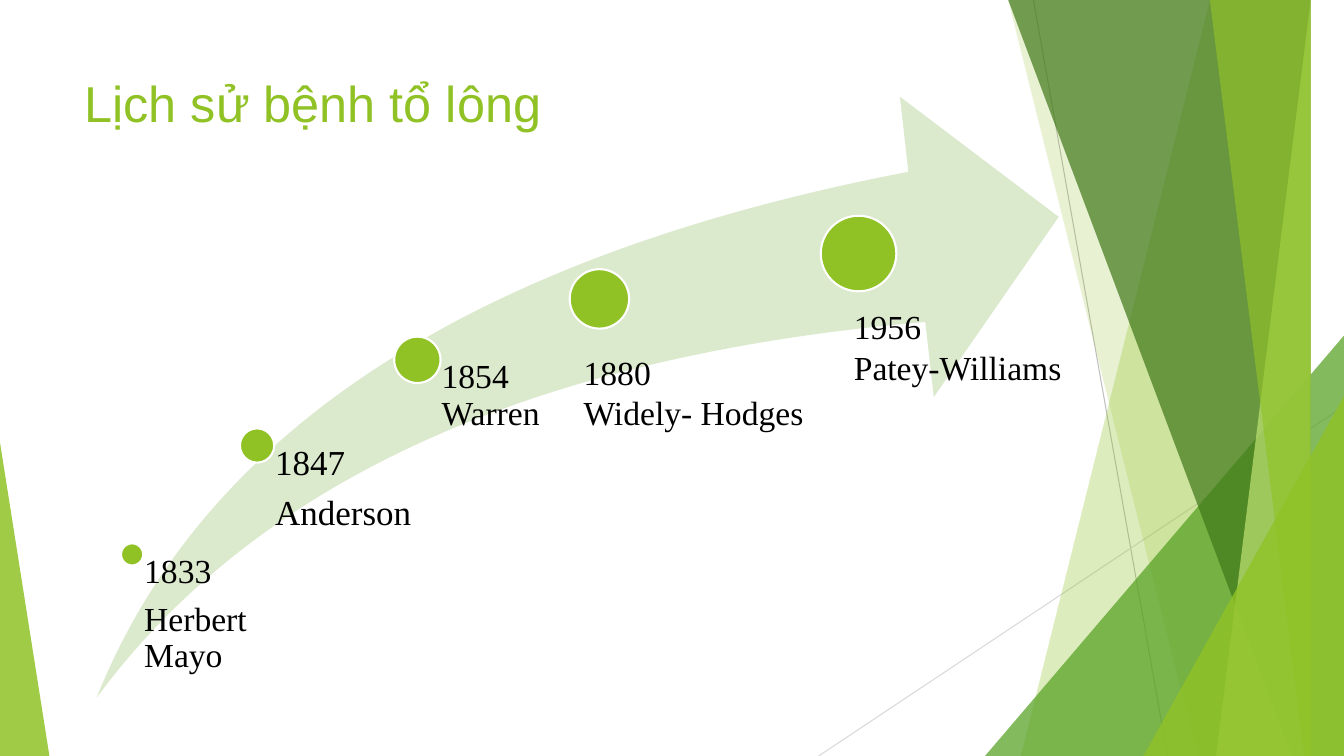
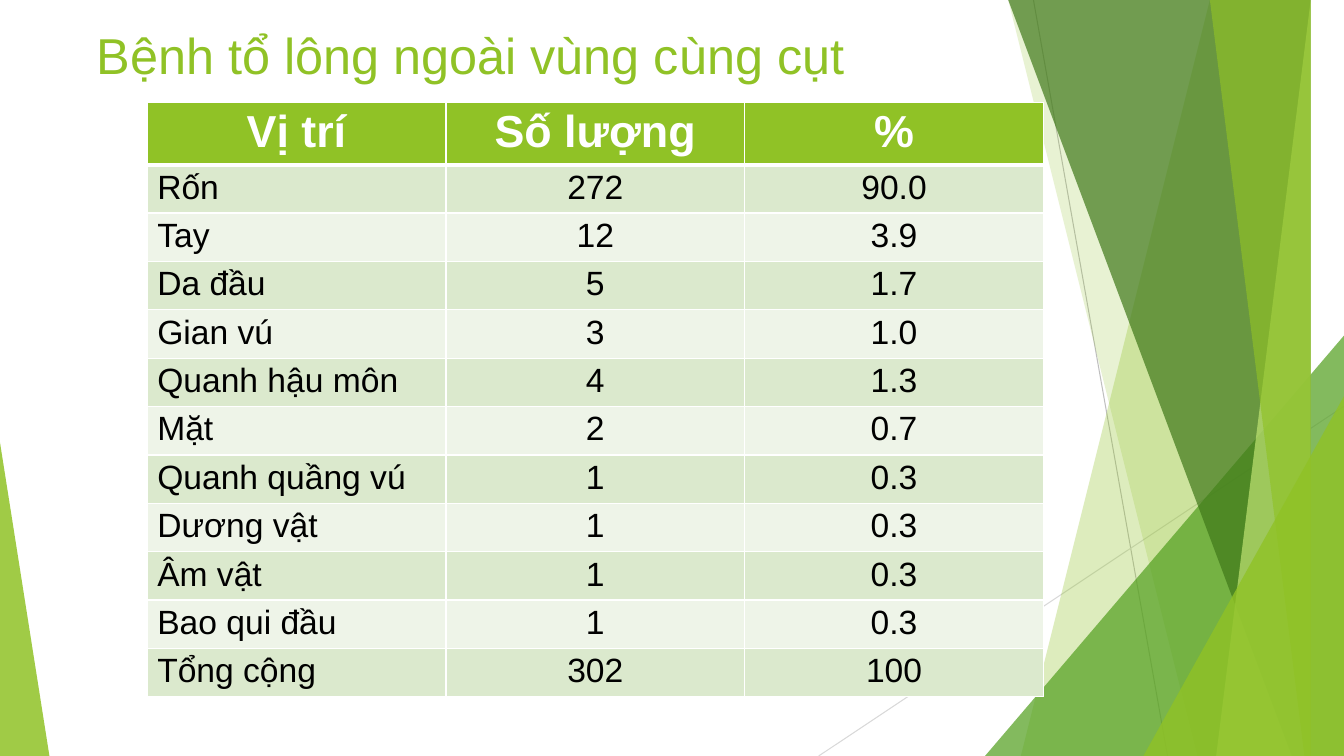
from lxml.etree import SubElement
from pptx import Presentation
from pptx.dml.color import RGBColor
from pptx.enum.shapes import MSO_CONNECTOR as CONN, MSO_SHAPE as SHAPE
from pptx.enum.text import MSO_ANCHOR as ANCHOR, PP_ALIGN as ALIGN
from pptx.oxml.ns import qn
from pptx.util import Inches, Pt

W, H = 13.33, 7.5
LIME, GREEN, FOREST, PALE = "90C226", "54A021", "3F7819", "C0E474"
TINT, LIGHT, WHITE, BLACK = "DBE9CD", "EEF4E8", "FFFFFF", "000000"
SANS, SERIF = "Arial", "Times New Roman"


def rgb(value):
    return RGBColor.from_string(value)


class Deck:
    """Holds the shared style and the current slide."""

    def __init__(self):
        self.prs = Presentation()
        self.prs.slide_width, self.prs.slide_height = Inches(W), Inches(H)

    def new_slide(self, title, x, y):
        self.s = self.prs.slides.add_slide(self.prs.slide_layouts[6])
        self.backdrop()
        self.text([title], x, y, 9.4, 1.44, 36, SANS, LIME)

    def backdrop(self):
        self.line(10.25, 0, 11.58, H, "BFBFBF")
        self.line(W, 4.03, 8.12, H, "D9D9D9")
        self.panel(12.28, 10.04, LIME, 30)
        self.panel(10.5, 11.83, LIME, 20)
        self.triangle(9.77, 3.33, 3.56, 1, GREEN, 72)
        self.panel(10.21, 12.91, FOREST, 70)
        self.panel(13.03, 11.92, PALE, 70)
        self.panel(11.96, 13.18, LIME, 65)
        self.triangle(11.34, 3.93, 1.99, 1, LIME, 80)
        self.triangle(0, 4.39, 0.49, 0, LIME, 85)

    def line(self, x1, y1, x2, y2, color):
        c = self.s.shapes.add_connector(
            CONN.STRAIGHT, Inches(x1), Inches(y1), Inches(x2), Inches(y2))
        c.line.color.rgb = rgb(color)
        c.line.width = Pt(0.75)
        SubElement(c.element.spPr, qn("a:effectLst"))

    def paint(self, sp, color, alpha=100, outline=None):
        sp.shadow.inherit = False
        sp.fill.solid()
        sp.fill.fore_color.rgb = rgb(color)
        if alpha < 100:
            clr = sp.element.spPr.find(qn("a:solidFill"))[0]
            SubElement(clr, qn("a:alpha"), val=str(alpha * 1000))
        if outline:
            sp.line.color.rgb = rgb(outline)
            sp.line.width = Pt(1.5)
        else:
            sp.line.fill.background()

    def panel(self, top_x, bottom_x, color, alpha):
        fb = self.s.shapes.build_freeform(top_x, -0.01, scale=Inches(1))
        fb.add_line_segments([(W, -0.01), (W, H), (bottom_x, H)])
        self.paint(fb.convert_to_shape(), color, alpha)

    def shape(self, kind, x, y, w, h, color, alpha=100, outline=None, adj=()):
        sp = self.s.shapes.add_shape(
            kind, Inches(x), Inches(y), Inches(w), Inches(h))
        for i, value in enumerate(adj):
            sp.adjustments[i] = value
        self.paint(sp, color, alpha, outline)

    def triangle(self, x, y, w, apex, color, alpha):
        self.shape(SHAPE.ISOSCELES_TRIANGLE, x, y, w, H - y, color, alpha,
                   adj=[apex])

    def dot(self, x, y, d):
        self.shape(SHAPE.OVAL, x, y, d, d, LIME, outline=WHITE)

    def text(self, lines, x, y, w, h, size, font, color, inset=None,
             spacing=None, after=0):
        tf = self.s.shapes.add_textbox(
            Inches(x), Inches(y), Inches(w), Inches(h)).text_frame
        tf.word_wrap = True
        if inset is not None:
            tf.margin_left = Inches(inset)
            tf.margin_top = tf.margin_right = tf.margin_bottom = 0
        tf.text = "\n".join(lines)
        for p in tf.paragraphs:
            p.line_spacing = spacing
            p.space_after = Pt(after)
            self.style(p, size, font, color)

    def style(self, p, size, font, color, bold=False):
        for r in p.runs:
            r.font.size, r.font.name, r.font.bold = Pt(size), font, bold
            r.font.color.rgb = rgb(color)

    def borders(self, cell, bottom):
        pr = cell._tc.get_or_add_tcPr()
        widths = {"a:lnL": 1, "a:lnR": 1, "a:lnT": 1, "a:lnB": bottom}
        for i, (tag, width) in enumerate(widths.items()):
            ln = pr.makeelement(qn(tag), {"w": str(Pt(width))})
            pr.insert(i, ln)
            fill = SubElement(ln, qn("a:solidFill"))
            SubElement(fill, qn("a:srgbClr"), val=WHITE)

    def table(self, rows, x, y, w, head_h, row_h):
        n = len(rows[0])
        tbl = self.s.shapes.add_table(
            len(rows), n, Inches(x), Inches(y), Inches(w),
            Inches(head_h + row_h * (len(rows) - 1))).table
        for i, row in enumerate(rows):
            head = i == 0
            tbl.rows[i].height = Inches(head_h if head else row_h)
            for j, value in enumerate(row):
                cell = tbl.cell(i, j)
                cell.text = value
                cell.margin_top = cell.margin_bottom = Inches(0.04)
                cell.vertical_anchor = ANCHOR.TOP
                cell.fill.solid()
                cell.fill.fore_color.rgb = rgb(
                    LIME if head else TINT if i % 2 else LIGHT)
                self.borders(cell, 3 if head else 1)
                p = cell.text_frame.paragraphs[0]
                p.alignment = ALIGN.CENTER if head or j else ALIGN.LEFT
                self.style(p, 32 if head else 24, SANS,
                           WHITE if head else BLACK, head)


def history(deck):
    deck.new_slide("Lịch sử bệnh tổ lông", 0.74, 0.67)
    bottom = 6.92
    deck.shape(SHAPE.SWOOSH_ARROW, 0.96, 0.96, 9.54, bottom - 0.96, TINT,
               adj=[0.25, 0.25])
    early = [
        (1.2, 5.39, 0.22, 1.25, 0.12, 24, ["1833", "Herbert Mayo"]),
        (2.38, 4.25, 0.34, 1.58, 0.18, 25, ["1847", "Anderson"]),
        (3.91, 3.34, 0.46, 1.84, 0.24, 24, ["1854 Warren"]),
    ]
    for x, y, d, w, inset, size, lines in early:
        deck.dot(x, y, d)
        cx, cy = x + d / 2, y + d / 2
        deck.text(lines, cx, cy, w, bottom - cy, size, SERIF, BLACK,
                  inset, 0.9, 0.35 * size)
    late = [
        (5.65, 2.67, 0.59, 5.69, 3.44, 2.46, ["1880", "Widely- Hodges"]),
        (8.14, 2.14, 0.75, 8.37, 2.99, 2.61, ["1956", "Patey-Williams"]),
    ]
    for x, y, d, text_x, text_y, w, lines in late:
        deck.dot(x, y, d)
        deck.text(lines, text_x, text_y, w, 0.91, 24, SERIF, BLACK)


def locations(deck):
    deck.new_slide("Bệnh tổ lông ngoài vùng cùng cụt", 0.86, 0.19)
    rows = [
        ("Vị trí", "Số lượng", "%"),
        ("Rốn", "272", "90.0"),
        ("Tay", "12", "3.9"),
        ("Da đầu", "5", "1.7"),
        ("Gian vú", "3", "1.0"),
        ("Quanh hậu môn", "4", "1.3"),
        ("Mặt", "2", "0.7"),
        ("Quanh quầng vú", "1", "0.3"),
        ("Dương vật", "1", "0.3"),
        ("Âm vật", "1", "0.3"),
        ("Bao qui đầu", "1", "0.3"),
        ("Tổng cộng", "302", "100"),
    ]
    deck.table(rows, 1.46, 1.02, 8.89, 0.59, 0.47)


def main():
    deck = Deck()
    history(deck)
    locations(deck)
    deck.prs.save("out.pptx")


if __name__ == "__main__":
    main()
